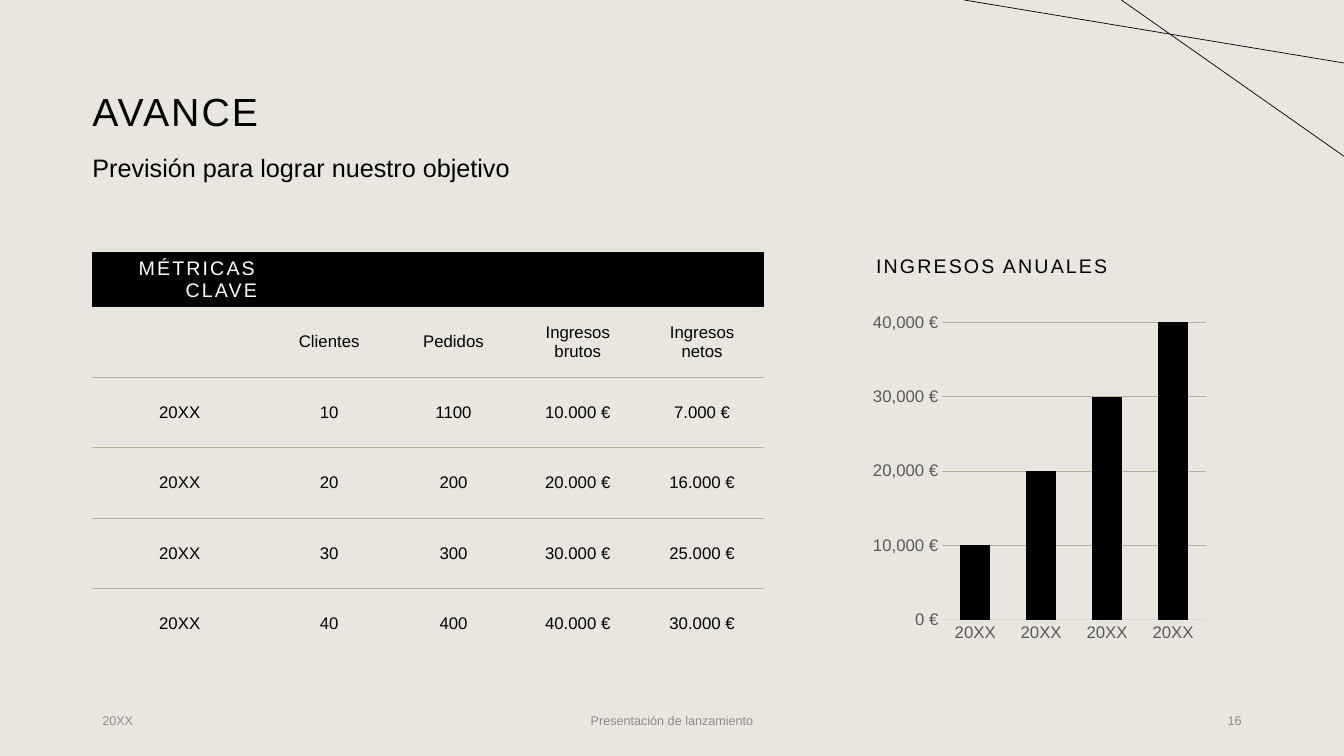
import pptx
import pptx.util
import pptx.dml.color
import pptx.chart.data
import pptx.enum.chart
import pptx.enum.shapes
import pptx.enum.text
import pptx.oxml
import pptx.oxml.ns
import lxml.etree

Pt = pptx.util.Pt
RGB = pptx.dml.color.RGBColor.from_string
qn = pptx.oxml.ns.qn
Align = pptx.enum.text.PP_ALIGN
Anchor = pptx.enum.text.MSO_ANCHOR
Tick = pptx.enum.chart.XL_TICK_MARK

FONT = "Arial"
COLORS = {
    "paper": "E9E6DF",
    "ink": "000000",
    "white": "FFFFFF",
    "sand": "BBB19B",
    "axis": "595959",
    "base": "D9D9D9",
    "foot": "8C8C8C",
}

# The slide is a grid of 160 columns by 90 rows of square units.
UNIT = pptx.util.Inches(1) / 12
LEFT, TOP = 11, 30
SIDE, SPAN = 103.1, 41.3


def grid(*units):
    """Turn grid units into slide lengths."""
    return [round(n * UNIT) for n in units]


def write(frame, text, size, color="ink", align=Align.LEFT, space=0):
    """Fill a text frame with one styled paragraph."""
    frame.text = text
    para = frame.paragraphs[0]
    para.alignment = align
    run = para.runs[0]
    run.font.name = FONT
    run.font.size = Pt(size)
    run.font.bold = False
    run.font.color.rgb = RGB(COLORS[color])
    if space:
        run._r.get_or_add_rPr().set("spc", str(round(space * 100)))
    return para


deck = pptx.Presentation()
deck.slide_width, deck.slide_height = grid(160, 90)
slide = deck.slides.add_slide(deck.slide_layouts.get_by_name("Comparison"))
slide.background.fill.solid()
slide.background.fill.fore_color.rgb = RGB(COLORS["paper"])

# Title and headings
holders = {shape.placeholder_format.idx: shape for shape in slide.placeholders}
heads = [
    (0, "AVANCE", 28, 1.5, (LEFT, 4.8, 138, 17.4)),
    (1, "Previsión para lograr nuestro objetivo", 18, 0, (9.8, 17.9, 88.8, 6.5)),
    (3, "INGRESOS ANUALES", 14, 1.5, (SIDE, TOP, SPAN, 4.1)),
]
for idx, text, size, space, box in heads:
    shape = holders.pop(idx)
    shape.left, shape.top, shape.width, shape.height = grid(*box)
    frame = shape.text_frame
    frame.word_wrap = True
    frame.auto_size = pptx.enum.text.MSO_AUTO_SIZE.NONE
    frame.vertical_anchor = Anchor.TOP if idx else Anchor.MIDDLE
    para = write(frame, text, size, space=space)
    para.line_spacing = 0.9
    if idx:
        para.space_before = Pt(10)
    else:
        frame.margin_left = 0
for shape in holders.values():
    shape.element.getparent().remove(shape.element)

# Key metrics table
rows = [
    ["MÉTRICAS CLAVE", "", "", "", ""],
    ["", "Clientes", "Pedidos", "Ingresos brutos", "Ingresos netos"],
    ["20XX", "10", "1100", "10.000 €", "7.000 €"],
    ["20XX", "20", "200", "20.000 €", "16.000 €"],
    ["20XX", "30", "300", "30.000 €", "25.000 €"],
    ["20XX", "40", "400", "40.000 €", "30.000 €"],
]
table = slide.shapes.add_table(len(rows), 5, *grid(LEFT, TOP, 80, 48.5)).table
table.first_row = table.horz_banding = False
style = table._tbl.tblPr.find(qn("a:tableStyleId"))
style.text = "{2D5ABB26-0587-4C30-8999-92F81FD0307C}"  # no style, no grid
for col, width in zip(table.columns, grid(20.8, *[14.8] * 4)):
    col.width = width
for row, height in zip(table.rows, grid(6.5, *[8.4] * 5)):
    row.height = height

last = len(rows) - 1
for i, row in enumerate(rows):
    for j, text in enumerate(row):
        cell = table.cell(i, j)
        cell.vertical_anchor = Anchor.MIDDLE
        if i == 0:
            cell.fill.solid()
            cell.fill.fore_color.rgb = RGB(COLORS["ink"])
        else:
            cell.fill.background()
        if text and i == 0:
            write(cell.text_frame, text, 14, "white", Align.RIGHT, 1.5)
        elif text:
            write(cell.text_frame, text, 12, align=Align.CENTER)
        # Rules lie between the rows below the header band.
        edges = ["lnT"] * (i > 1) + ["lnB"] * (0 < i < last)
        for n, edge in enumerate(edges):
            rule = lxml.etree.Element(qn("a:" + edge), w=str(Pt(1)))
            fill = lxml.etree.SubElement(rule, qn("a:solidFill"))
            lxml.etree.SubElement(fill, qn("a:srgbClr"), val=COLORS["sand"])
            cell._tc.get_or_add_tcPr().insert(n, rule)

# Yearly income chart
data = pptx.chart.data.CategoryChartData()
data.categories = ["20XX"] * 4
data.add_series("Series 1", [10000, 20000, 30000, 40000])
kind = pptx.enum.chart.XL_CHART_TYPE.COLUMN_CLUSTERED
chart = slide.shapes.add_chart(kind, *grid(SIDE, 36.5, SPAN, 40.7), data).chart
chart.has_legend = chart.has_title = False
chart.font.name = FONT
chart.font.size = Pt(10)
chart.font.color.rgb = RGB(COLORS["ink"])

plot = chart.plots[0]
plot.vary_by_categories = False
plot.gap_width = 118
plot.overlap = -3
bars = plot.series[0].format.fill
bars.solid()
bars.fore_color.rgb = RGB(COLORS["ink"])

cats, vals = chart.category_axis, chart.value_axis
for axis in (cats, vals):
    axis.major_tick_mark = axis.minor_tick_mark = Tick.NONE
    font = axis.tick_labels.font
    font.name = FONT
    font.size = Pt(12)
    font.color.rgb = RGB(COLORS["axis"])
cats.format.line.color.rgb = RGB(COLORS["base"])
cats.format.line.width = Pt(0.75)
vals.format.line.fill.background()
vals.minimum_scale, vals.maximum_scale, vals.major_unit = 0, 40000, 10000
vals.has_major_gridlines = True
vals.major_gridlines.format.line.color.rgb = RGB(COLORS["sand"])
vals.major_gridlines.format.line.width = Pt(0.75)
vals.tick_labels.number_format = '#,##0\\ "€"'
vals.tick_labels.number_format_is_linked = False

# Footer
foots = [
    ("20XX", LEFT, 36, Align.LEFT),
    ("Presentación de lanzamiento", 53, 54, Align.CENTER),
    ("16", 113, 36, Align.RIGHT),
]
for text, left, width, align in foots:
    frame = slide.shapes.add_textbox(*grid(left, 83.4, width, 4.8)).text_frame
    frame.word_wrap = True
    frame.vertical_anchor = Anchor.MIDDLE
    write(frame, text, 9, "foot", align)

# Corner lines
for start, end in [(133.5, 18.6), (114.8, 7.5)]:
    line = slide.shapes.add_connector(
        pptx.enum.shapes.MSO_CONNECTOR.STRAIGHT, *grid(start, 0, 160, end))
    line.line.color.rgb = RGB(COLORS["ink"])
    line.line.width = Pt(0.5)
    lxml.etree.SubElement(line._element.spPr, qn("a:effectLst"))

deck.save("out.pptx")
